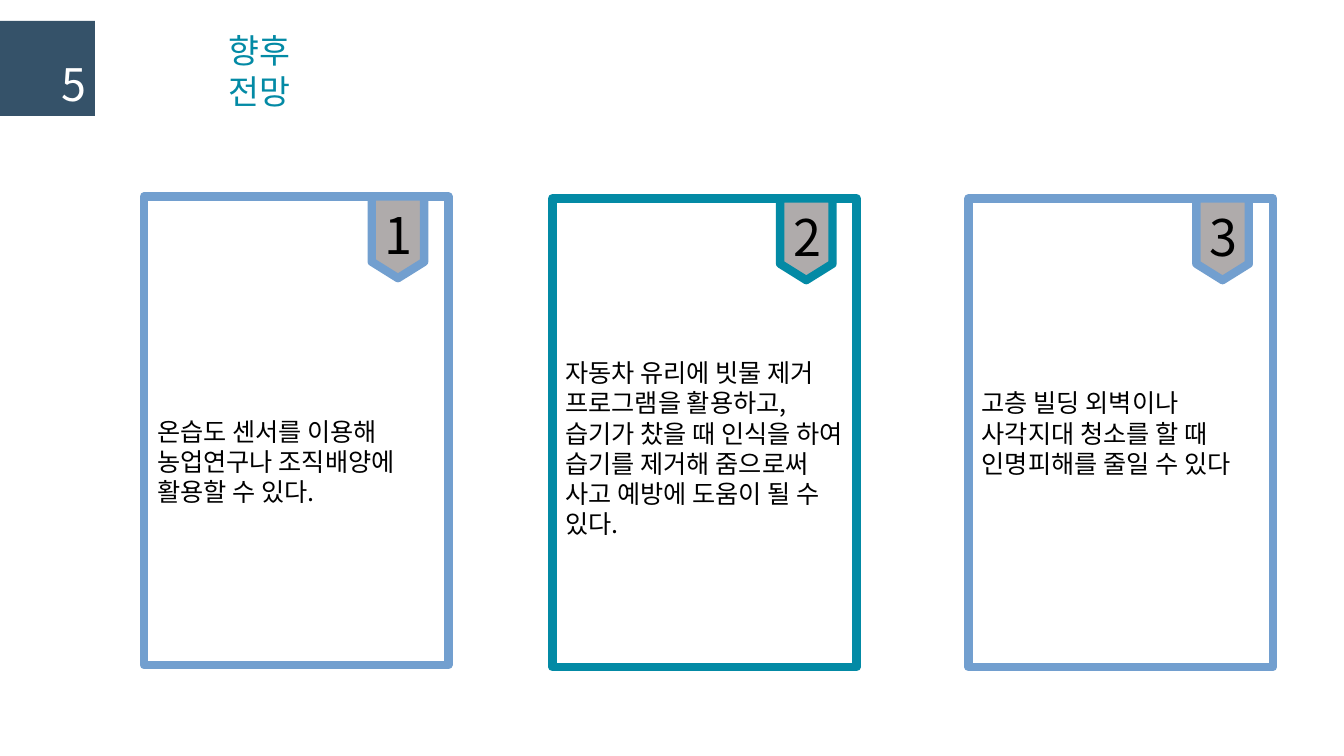
from dataclasses import dataclass

from lxml.etree import SubElement
from pptx import Presentation
from pptx.dml.color import RGBColor
from pptx.enum.shapes import MSO_SHAPE
from pptx.enum.text import MSO_ANCHOR, PP_ALIGN
from pptx.oxml.ns import qn
from pptx.shapes.autoshape import Shape
from pptx.slide import Slide
from pptx.util import Cm, Pt


@dataclass(frozen=True)
class Theme:
    """Colours, font and type sizes of the slide."""
    font: str = "Noto Sans CJK KR"
    navy: str = "355269"
    teal: str = "038AA5"
    blue: str = "729FCF"
    grey: str = "AFABAB"
    white: str = "FFFFFF"
    black: str = "000000"
    body: int = 18
    title: int = 24
    page_number: int = 32
    tag: int = 36
    border: float = 6


@dataclass(frozen=True)
class Card:
    """One numbered outlook card; lengths in centimetres."""
    number: int
    left: float
    top: float
    text_inset: float
    colour: str
    text: str


THEME = Theme()
CARD_WIDTH, CARD_HEIGHT = 7.67, 11.81
TAG_OFFSET, TAG_WIDTH, TAG_HEIGHT = 5.74, 1.32, 2.06
INSET_X, INSET_Y = 0.33, 0.2

CARDS = (
    Card(1, 3.63, 4.95, 5.53, THEME.blue,
         "온습도 센서를 이용해 농업연구나 조직배양에 활용할 수 있다."),
    Card(2, 13.92, 5, 4.01, THEME.teal,
         "자동차 유리에 빗물 제거 프로그램을 활용하고, 습기가 찼을 때 인식을 하여 "
         "습기를 제거해 줌으로써 사고 예방에 도움이 될 수 있다."),
    Card(3, 24.41, 5, 4.77, THEME.blue,
         "고층 빌딩 외벽이나 사각지대 청소를 할 때 인명피해를 줄일 수 있다"),
)


def write_text(box: Shape, text: str, *, size: int, colour: str = THEME.black,
               align: PP_ALIGN = PP_ALIGN.LEFT, inset_x: float = INSET_X,
               inset_top: float = INSET_Y, inset_bottom: float = INSET_Y,
               wrap: bool = True) -> None:
    """Fill a box with one formatted, top-anchored paragraph."""
    frame = box.text_frame
    frame.word_wrap = wrap
    frame.vertical_anchor = MSO_ANCHOR.TOP
    frame.margin_left = frame.margin_right = Cm(inset_x)
    frame.margin_top, frame.margin_bottom = Cm(inset_top), Cm(inset_bottom)
    para = frame.paragraphs[0]
    para.alignment = align
    span = para.add_run()
    span.text = text
    span.font.size = Pt(size)
    span.font.name = THEME.font
    span.font.color.rgb = RGBColor.from_string(colour)
    east_asian = SubElement(span.font._element, qn("a:ea"))
    east_asian.set("typeface", THEME.font)


def add_label(page: Slide, text: str, left: float, top: float, width: float,
              height: float, *, size: int, colour: str, wrap: bool) -> None:
    """Add a free-standing text box."""
    box = page.shapes.add_textbox(Cm(left), Cm(top), Cm(width), Cm(height))
    write_text(box, text, size=size, colour=colour, wrap=wrap,
               inset_x=0.25, inset_top=0.13, inset_bottom=0.13)


def add_panel(page: Slide, kind: MSO_SHAPE, left: float, top: float, width: float,
              height: float, fill: str, border: str | None = None) -> Shape:
    """Add a flat filled shape, with a border when a colour is given."""
    box = page.shapes.add_shape(kind, Cm(left), Cm(top), Cm(width), Cm(height))
    box.shadow.inherit = False
    box.fill.solid()
    box.fill.fore_color.rgb = RGBColor.from_string(fill)
    if border:
        box.line.color.rgb = RGBColor.from_string(border)
        box.line.width = Pt(THEME.border)
    else:
        box.line.fill.background()
    return box


def add_card(page: Slide, card: Card) -> None:
    """Draw a card with its numbered tag."""
    panel = add_panel(page, MSO_SHAPE.RECTANGLE, card.left, card.top,
                      CARD_WIDTH, CARD_HEIGHT, THEME.white, card.colour)
    write_text(panel, card.text, size=THEME.body, inset_top=card.text_inset)
    tag = add_panel(page, MSO_SHAPE.FLOWCHART_OFFPAGE_CONNECTOR,
                    card.left + TAG_OFFSET, card.top,
                    TAG_WIDTH, TAG_HEIGHT, THEME.grey, card.colour)
    write_text(tag, str(card.number), size=THEME.tag, align=PP_ALIGN.CENTER)


def main() -> None:
    """Build the deck and save it."""
    deck = Presentation()
    deck.slide_width, deck.slide_height = Cm(33.87), Cm(19.05)
    page = deck.slides.add_slide(deck.slide_layouts[6])
    add_panel(page, MSO_SHAPE.RECTANGLE, 0, 0.53, 2.39, 2.39, THEME.navy)
    add_label(page, "5", 1.3, 1.3, 0.94, 1.6,
              size=THEME.page_number, colour=THEME.white, wrap=False)
    add_label(page, "향후 전망", 5.51, 0.63, 3, 1.27,
              size=THEME.title, colour=THEME.teal, wrap=True)
    for card in CARDS:
        add_card(page, card)
    deck.save("out.pptx")


main()
